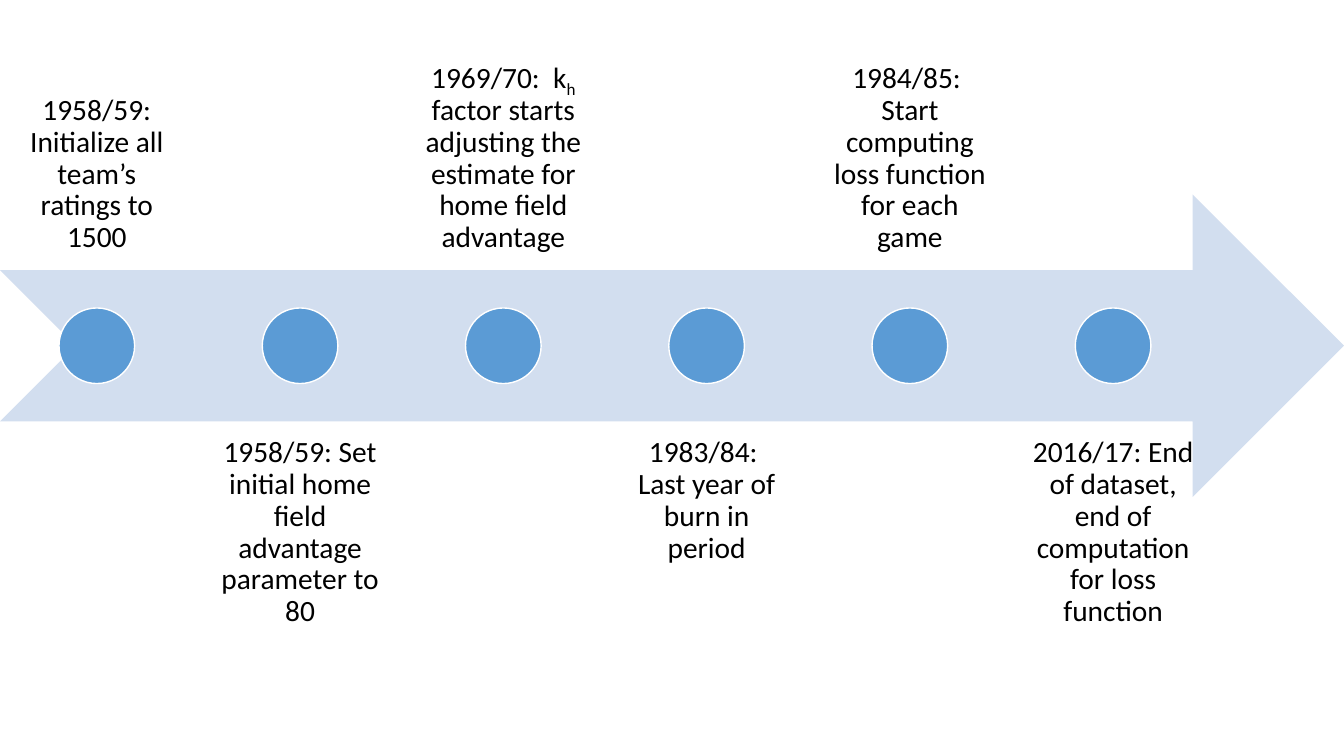
from pptx import Presentation
from pptx.dml.color import RGBColor
from pptx.enum.shapes import MSO_SHAPE
from pptx.enum.text import MSO_ANCHOR, PP_ALIGN
from pptx.util import Inches, Pt

ARROW, DOT = MSO_SHAPE.NOTCHED_RIGHT_ARROW, MSO_SHAPE.OVAL
TOP, BOTTOM = MSO_ANCHOR.TOP, MSO_ANCHOR.BOTTOM
CENTER = PP_ALIGN.CENTER

SLIDE_W, SLIDE_H = 13.33, 7.5
ARROW_TOP, ARROW_H = 1.93, 3
LABEL_W, LABEL_H = 1.92, 3
LABEL_ABOVE, LABEL_BELOW = -0.32, 4.18
PITCH = LABEL_W * 1.05
DOT_SIZE = 0.75

# Each milestone is a list of (text, is_subscript) runs.
MILESTONES = [
    [("1958/59: Initialize all team’s ratings to 1500", False)],
    [("1958/59: Set initial home field advantage parameter to 80", False)],
    [("1969/70:  k", False), ("h", True),
     (" factor starts adjusting the estimate for home field advantage", False)],
    [("1983/84:  Last year of burn in period", False)],
    [("1984/85:  Start computing loss function for each game", False)],
    [("2016/17: End of dataset, end of computation for loss function", False)],
]


def color(hex_string):
    return RGBColor.from_string(hex_string)


class Timeline:
    FONT, SIZE, INSET = "Calibri", 21, 0.16
    TEXT, BAND, MARKER, OUTLINE = "000000", "D2DEEF", "5B9BD5", "FFFFFF"

    def __init__(self, slide):
        self.slide = slide

    def shape(self, kind, left, top, width, height, fill, outline=None):
        shape = self.slide.shapes.add_shape(
            kind, Inches(left), Inches(top), Inches(width), Inches(height))
        shape.shadow.inherit = False
        shape.fill.solid()
        shape.fill.fore_color.rgb = color(fill)
        if outline:
            shape.line.color.rgb = color(outline)
            shape.line.width = Pt(1)
        else:
            shape.line.fill.background()

    def arrow(self):
        self.shape(ARROW, 0, ARROW_TOP, SLIDE_W, ARROW_H, self.BAND)

    def dot(self, label_left):
        """Centre a marker on the arrow, in line with its label."""
        self.shape(DOT, label_left + (LABEL_W - DOT_SIZE) / 2,
                   ARROW_TOP + (ARROW_H - DOT_SIZE) / 2,
                   DOT_SIZE, DOT_SIZE, self.MARKER, self.OUTLINE)

    def label(self, left, above, runs):
        top = LABEL_ABOVE if above else LABEL_BELOW
        box = self.slide.shapes.add_textbox(
            Inches(left), Inches(top), Inches(LABEL_W), Inches(LABEL_H))
        frame = box.text_frame
        frame.word_wrap = True
        frame.vertical_anchor = BOTTOM if above else TOP
        frame.margin_left = frame.margin_right = Inches(self.INSET)
        frame.margin_top = frame.margin_bottom = Inches(self.INSET)
        paragraph = frame.paragraphs[0]
        paragraph.alignment = CENTER
        paragraph.line_spacing = 0.9
        for text, is_subscript in runs:
            run = paragraph.add_run()
            run.text = text
            run.font.name = self.FONT
            run.font.size = Pt(self.SIZE)
            run.font.color.rgb = color(self.TEXT)
            if is_subscript:
                run.font._element.set("baseline", "-25000")


def main():
    deck = Presentation()
    deck.slide_width, deck.slide_height = Inches(SLIDE_W), Inches(SLIDE_H)
    timeline = Timeline(deck.slides.add_slide(deck.slide_layouts[6]))
    timeline.arrow()
    for index, runs in enumerate(MILESTONES):
        left = index * PITCH
        timeline.label(left, index % 2 == 0, runs)
        timeline.dot(left)
    deck.save("out.pptx")


if __name__ == "__main__":
    main()
